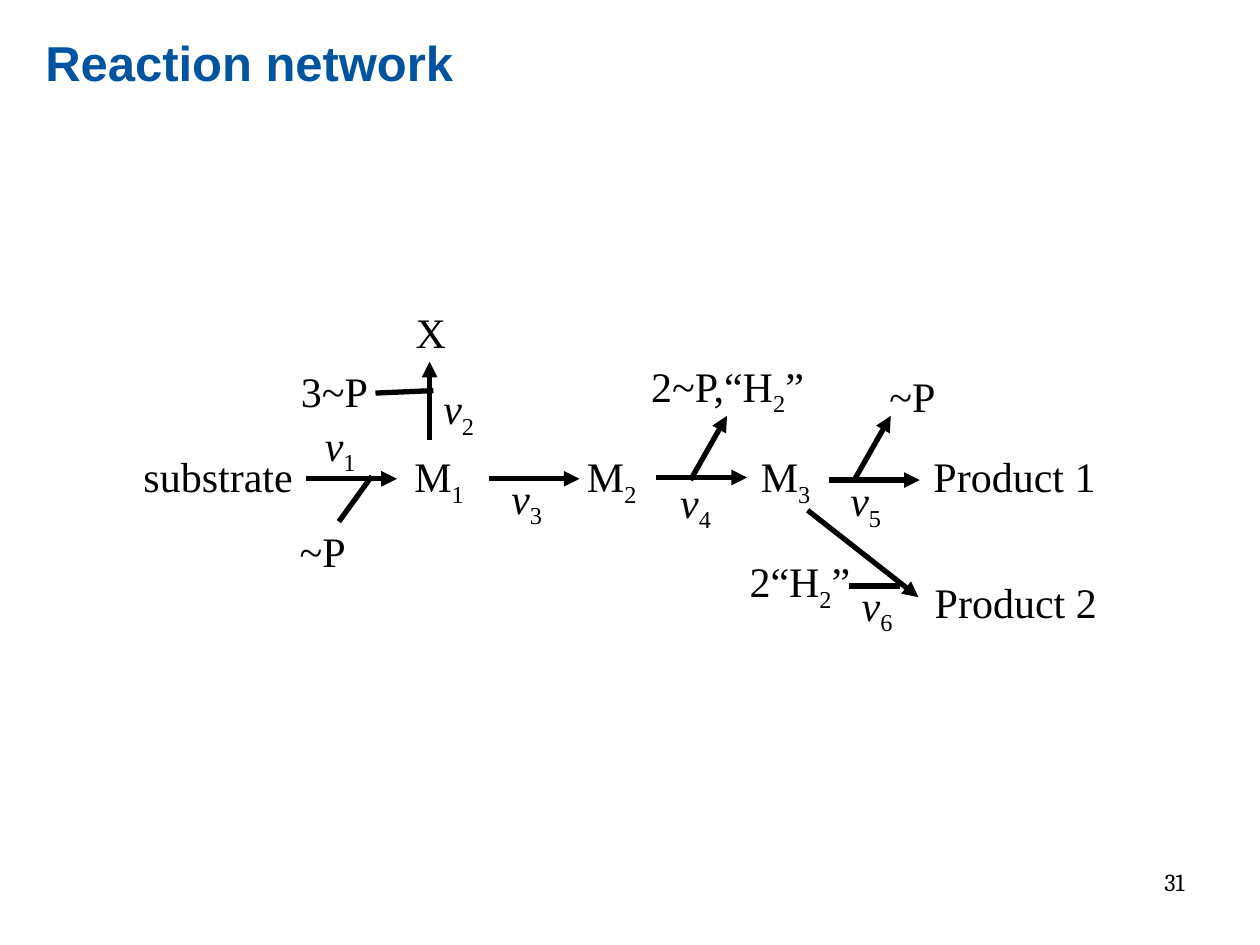
from pptx import Presentation
from pptx import util as u
from pptx.dml.color import RGBColor
from pptx.enum import shapes, text
from pptx.oxml.ns import qn
from lxml import etree

PX = 9144
COLORS = {"title": "00549F", "ink": "000000"}
SERIF = "Times New Roman"
LABEL_HEIGHT = 50
ROW = 353

METABOLITES = [
    ("substrate", 104, ROW, 139), ("M_1", 319, ROW, 61), ("M_2", 456, ROW, 61),
    ("M_3", 594, ROW, 61), ("Product 1", 731, ROW, 149),
    ("Product 2", 732, 453, 149), ("X", 320, 238, 44),
]
COFACTORS = [
    ("3~P", 229, 285, 73), ("~P", 228, 412, 57), ("2~P,“H_2”", 507, 281, 147),
    ("~P", 696, 289, 57), ("2“H_2”", 585, 436, 102),
]
RATES = [(248, 328), (342, 299), (396, 370), (530, 373), (665, 372), (674, 455)]
ARROWS = [
    (243, 380, 315, 380), (388, 380, 460, 380), (521, 379, 593, 379),
    (658, 381, 730, 381), (341, 349, 341, 287), (641, 405, 729, 474),
    (548, 381, 577, 330), (678, 381, 707, 330),
]
BRANCHES = [(295, 378, 269, 414), (344, 310, 298, 312), (714, 465, 674, 465)]


def px(*values):
    return [u.Emu(value * PX) for value in values]


def style(font, name, size, color, bold=False, italic=False):
    font.name, font.size = name, u.Pt(size)
    font.bold, font.italic = bold, italic
    font.color.rgb = RGBColor.from_string(COLORS[color])


def add_title(page, words, box):
    title = page.shapes.title
    title.left, title.top, title.width, title.height = px(*box)
    frame = title.text_frame
    frame.text = words
    frame.auto_size = text.MSO_AUTO_SIZE.NONE
    frame.vertical_anchor = text.MSO_ANCHOR.TOP
    frame.margin_left = frame.margin_top = frame.margin_right = frame.margin_bottom = 0
    para = frame.paragraphs[0]
    para.alignment = text.PP_ALIGN.LEFT
    para.line_spacing = 1.1
    style(para.runs[0].font, "Arial", 28, "title", bold=True)


def add_page_number(page, number, box):
    frame = page.shapes.add_textbox(*px(*box)).text_frame
    frame.word_wrap = True
    frame.text = number
    para = frame.paragraphs[0]
    para.alignment = text.PP_ALIGN.RIGHT
    style(para.runs[0].font, "Cambria", 14, "ink")


def add_label(page, words, left, top, width, italic=False):
    frame = page.shapes.add_textbox(*px(left, top, width, LABEL_HEIGHT)).text_frame
    frame.word_wrap = False
    frame.auto_size = text.MSO_AUTO_SIZE.SHAPE_TO_FIT_TEXT
    base, _, rest = words.partition("_")
    para = frame.paragraphs[0]
    for index, part in enumerate((base, rest[:1], rest[1:])):
        if part:
            span = para.add_run()
            span.text = part
            style(span.font, SERIF, 24, "ink", italic=italic and index == 0)
            if index == 1:
                span.font._element.set("baseline", "-25000")


def add_line(page, ends, arrow=False):
    line = page.shapes.add_connector(shapes.MSO_CONNECTOR.STRAIGHT, *px(*ends))
    line.line.width = u.Pt(3)
    line.line.color.rgb = RGBColor.from_string(COLORS["ink"])
    if arrow:
        etree.SubElement(line.line._get_or_add_ln(), qn("a:tailEnd"), type="triangle")
    etree.SubElement(line._element.spPr, qn("a:effectLst"))


def add_network(page, box):
    left, top = box
    for words, x, y, width in METABOLITES + COFACTORS:
        add_label(page, words, left + x, top + y, width)
    for number, (x, y) in enumerate(RATES, 1):
        add_label(page, f"v_{number}", left + x, top + y, 46, italic=True)
    for lines, arrow in ((ARROWS, True), (BRANCHES, False)):
        for x1, y1, x2, y2 in lines:
            add_line(page, (left + x1, top + y1, left + x2, top + y2), arrow)


def main():
    deck = Presentation()
    deck.slide_width, deck.slide_height = px(1000, 750)
    page = deck.slides.add_slide(deck.slide_layouts[5])
    add_title(page, "Reaction network", (36, 21, 900, 125))
    add_network(page, (0, 0))
    add_page_number(page, "31", (717, 683, 233, 52))
    deck.save("out.pptx")


if __name__ == "__main__":
    main()
